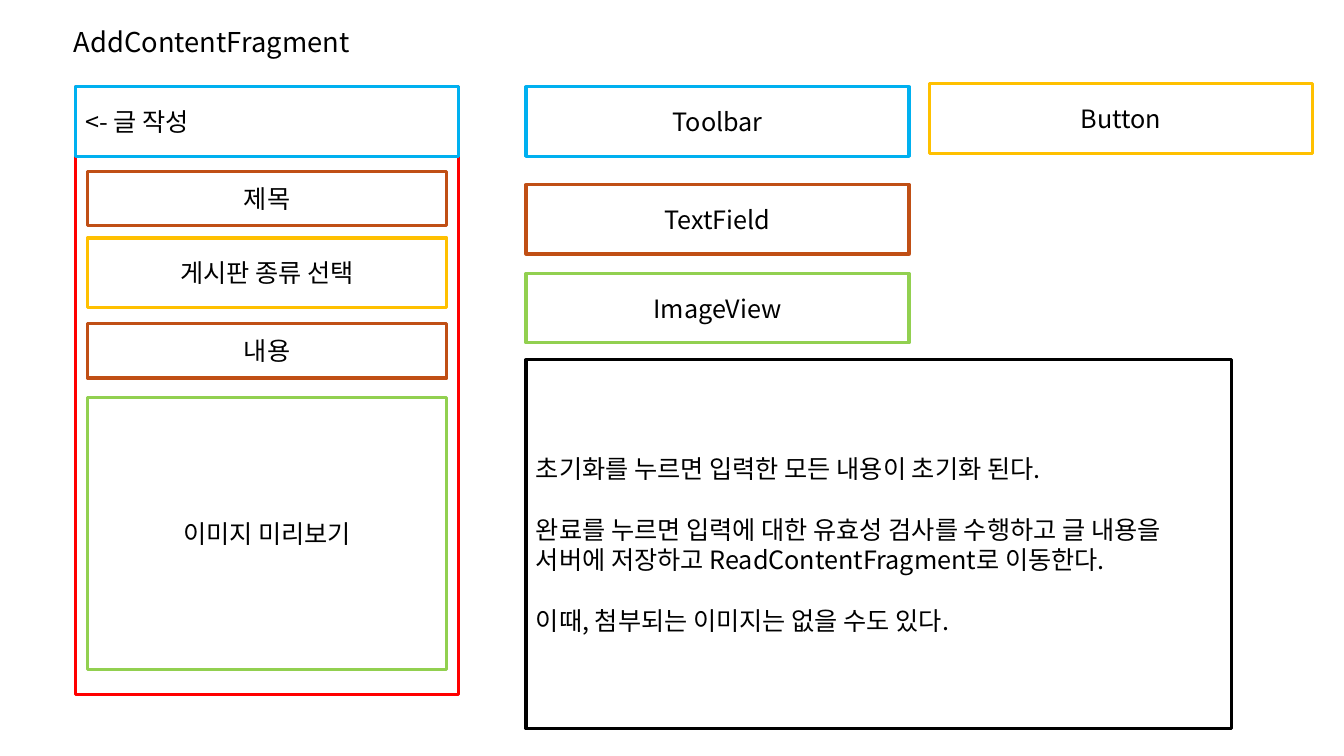
import pptx
import pptx.util
import pptx.dml.color
import pptx.enum.shapes
import pptx.enum.text
import pptx.oxml.ns
import lxml.etree

Pt = pptx.util.Pt
ALIGN = pptx.enum.text.PP_ALIGN
ANCHOR = pptx.enum.text.MSO_ANCHOR

FONT = "Noto Sans CJK KR"
COLORS = {
    "text": "000000",
    "note": "000000",
    "screen": "FF0000",
    "toolbar": "00B0F0",
    "field": "C04F15",
    "button": "FFC000",
    "image": "92D050",
}
WIDGET_WIDTH, WIDGET_HEIGHT = 273.6, 49.7


def rgb(name):
    return pptx.dml.color.RGBColor.from_string(COLORS[name])


def add_span(para, text, size=18):
    span = para.add_run()
    span.text = text
    span.font.size = Pt(size)
    span.font.color.rgb = rgb("text")
    span.font.name = FONT
    east_asian = lxml.etree.SubElement(span.font._element, pptx.oxml.ns.qn("a:ea"))
    east_asian.set("typeface", FONT)


def add_frame(page, box, kind, lines=(), align=ALIGN.CENTER, gap=0):
    """Outlined rectangle with one paragraph for each line."""
    frame = page.shapes.add_shape(
        pptx.enum.shapes.MSO_SHAPE.RECTANGLE, *(Pt(length) for length in box))
    frame.shadow.inherit = False
    frame.fill.background()
    frame.line.color.rgb = rgb(kind)
    frame.line.width = Pt(2.25)
    text_frame = frame.text_frame
    text_frame.word_wrap = True
    text_frame.vertical_anchor = ANCHOR.MIDDLE
    for index, line in enumerate(lines):
        para = text_frame.add_paragraph() if index else text_frame.paragraphs[0]
        para.alignment = align
        if index:
            para.space_before = Pt(gap)
        add_span(para, line)


def add_title(page, box, text):
    title = page.shapes.title
    title.left, title.top, title.width, title.height = (Pt(length) for length in box)
    text_frame = title.text_frame
    text_frame.word_wrap = True
    text_frame.auto_size = pptx.enum.text.MSO_AUTO_SIZE.NONE
    text_frame.vertical_anchor = ANCHOR.BOTTOM
    para = text_frame.paragraphs[0]
    para.alignment = ALIGN.LEFT
    para.line_spacing = 0.7
    add_span(para, text, 19.5)


def add_screen(page, box):
    """Phone screen: toolbar on top, widgets stacked below it."""
    left, top, width, height = box
    add_frame(page, box, "screen")
    add_frame(page, (left, top, width, WIDGET_HEIGHT), "toolbar",
              ["<- 글 작성"], ALIGN.LEFT)
    widgets = [
        ("field", "제목", 60.5, 38.9),
        ("button", "게시판 종류 선택", 108, WIDGET_HEIGHT),
        ("field", "내용", 169.2, 38.9),
        ("image", "이미지 미리보기", 221.8, 194.4),
    ]
    inset = 8.4
    for kind, label, offset, widget_height in widgets:
        add_frame(page, (left + inset, top + offset, width - 2 * inset, widget_height),
                  kind, [label])


def add_legend(page, box):
    """Meaning of each outline colour."""
    left, top, width, height = box
    entries = [
        ("toolbar", "Toolbar", 0, 0),
        ("field", "TextField", 0, 69.8),
        ("image", "ImageView", 0, 133.2),
        ("button", "Button", 288, -2.2),
    ]
    for kind, label, across, down in entries:
        add_frame(page, (left + across, top + down, width, height), kind, [label])


def add_note(page, box):
    add_frame(page, box, "note", [
        "초기화를 누르면 입력한 모든 내용이 초기화 된다.",
        "완료를 누르면 입력에 대한 유효성 검사를 수행하고 글 내용을 "
        "서버에 저장하고 ReadContentFragment로 이동한다.",
        "이때, 첨부되는 이미지는 없을 수도 있다.",
    ], ALIGN.LEFT, gap=21.7)


def main():
    deck = pptx.Presentation()
    deck.slide_width, deck.slide_height = Pt(960), Pt(540)
    page = deck.slides.add_slide(deck.slide_layouts.get_by_name("Title Only"))
    add_title(page, (45.4, 19.4, 598.3, 25.2), "AddContentFragment")
    add_screen(page, (54, 62, WIDGET_WIDTH, 434.2))
    add_legend(page, (375.8, 62, WIDGET_WIDTH, WIDGET_HEIGHT))
    add_note(page, (375.8, 257, 504, 263.5))
    deck.save("out.pptx")


if __name__ == "__main__":
    main()
